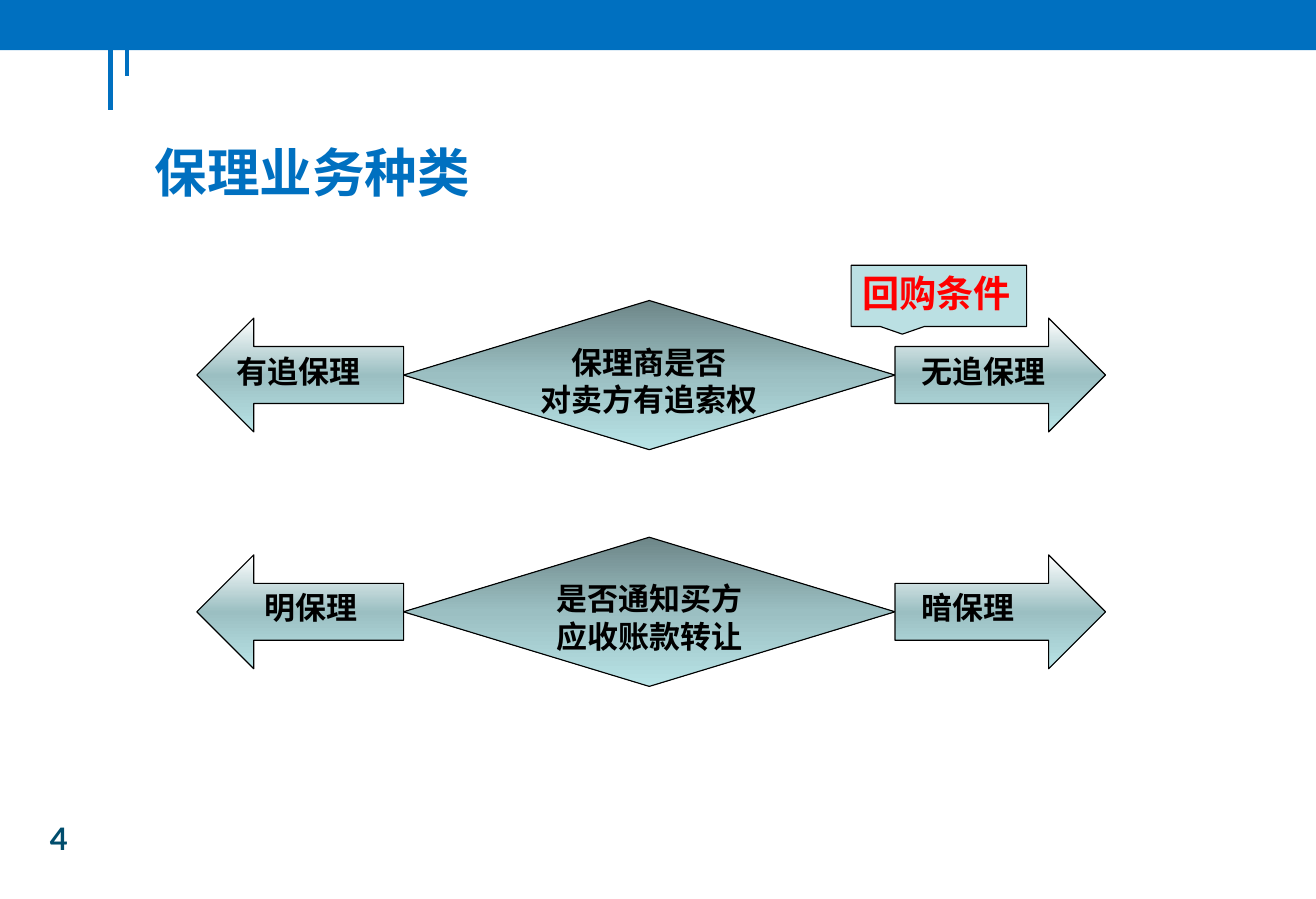
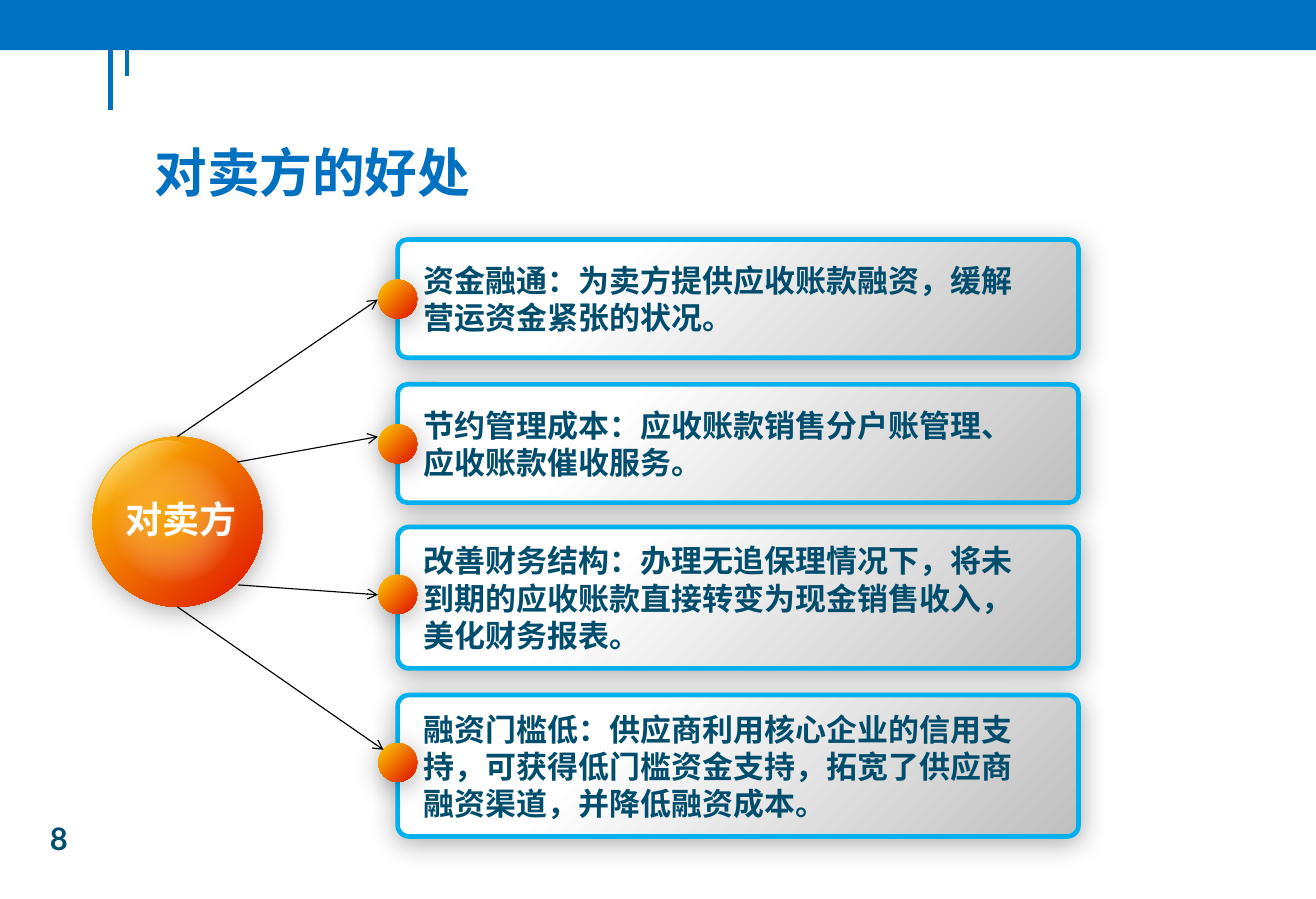
import pptx
import pptx.util
import pptx.dml.color
import pptx.enum.shapes
import pptx.enum.text
import pptx.oxml
import pptx.oxml.ns

Pt = pptx.util.Pt
qn = pptx.oxml.ns.qn
SHAPE = pptx.enum.shapes.MSO_SHAPE
ALIGN = pptx.enum.text.PP_ALIGN
ANCHOR = pptx.enum.text.MSO_ANCHOR

WIDTH, HEIGHT = 850.4, 581
LATIN, CJK = "Lato", "Noto Sans CJK SC"
BLUE, NAVY, CYAN = "0070C0", "004D6D", "00B0F0"
BLACK, WHITE, RED = "000000", "FFFFFF", "FF0000"
PALE_TEAL = "BBE0E3"
DIAMOND_STOPS = [(0, "6D8688", 100), (50, "9BBFC2", 100), (100, "B8E3E6", 100)]
ARROW_STOPS = [(0, WHITE, 100)] + DIAMOND_STOPS[1:]
ORANGE_STOPS = [(0, "FFCF01", 100), (90, "E22000", 100)]
CARD_STOPS = [(30, WHITE, 100), (100, "BFBFBF", 100)]
HIGHLIGHT_STOPS = [(0, WHITE, 100), (45, WHITE, 0)]
GLOW_STOPS = [(10, "FFC000", 60), (70, WHITE, 0)]


def rgb(value):
    return pptx.dml.color.RGBColor.from_string(value)


def add_xml(parent, tag, **attrs):
    child = parent.makeelement(qn(tag), {k: str(v) for k, v in attrs.items()})
    parent.append(child)
    return child


def add_color(parent, value, alpha):
    clr = add_xml(parent, "a:srgbClr", val=value)
    if alpha < 100:
        add_xml(clr, "a:alpha", val=alpha * 1000)


def set_gradient(sp, stops, angle):
    sp.fill.gradient()
    grad = sp.element.spPr.find(qn("a:gradFill"))
    for child in list(grad):
        grad.remove(child)
    stop_list = add_xml(grad, "a:gsLst")
    for pos, value, alpha in stops:
        add_color(add_xml(stop_list, "a:gs", pos=pos * 1000), value, alpha)
    if angle is None:
        center = add_xml(grad, "a:path", path="circle")
        add_xml(center, "a:fillToRect", l=50000, t=50000, r=50000, b=50000)
    else:
        add_xml(grad, "a:lin", ang=angle * 60000, scaled=0)


def set_shadow(sp):
    effects = sp.element.spPr.find(qn("a:effectLst"))
    shadow = add_xml(effects, "a:outerShdw", blurRad=int(Pt(17.8)),
                     dist=int(Pt(3)), dir=87 * 60000, algn="ctr", rotWithShape=0)
    add_color(shadow, BLACK, 33)


def add_shape(shapes, kind, x, y, w, h, fill, angle=None, line=None, line_w=0.75, shadow=False):
    sp = shapes.add_shape(kind, Pt(x), Pt(y), Pt(w), Pt(h))
    sp.shadow.inherit = False
    if isinstance(fill, str):
        sp.fill.solid()
        sp.fill.fore_color.rgb = rgb(fill)
    else:
        set_gradient(sp, fill, angle)
    if line:
        sp.line.color.rgb = rgb(line)
        sp.line.width = Pt(line_w)
    else:
        sp.line.fill.background()
    if shadow:
        set_shadow(sp)
    return sp


def set_text(sp, lines, size=20, color=BLACK, font=LATIN, align=ALIGN.LEFT,
             anchor=ANCHOR.TOP, indent=0, spacing=None):
    tf = sp.text_frame
    tf.word_wrap = True
    tf.vertical_anchor = anchor
    tf.margin_left = Pt(7.2 + indent)
    for i, text in enumerate(lines):
        p = tf.add_paragraph() if i else tf.paragraphs[0]
        p.alignment = align
        if spacing:
            p.line_spacing = spacing
        r = p.add_run()
        r.text = text
        r.font.size = Pt(size)
        r.font.bold = True
        r.font.name = font
        r.font.color.rgb = rgb(color)
        add_xml(r.font._element, "a:ea", typeface=font)


def add_text(shapes, x, y, w, h, text, **style):
    set_text(shapes.add_textbox(Pt(x), Pt(y), Pt(w), Pt(h)), [text], **style)


def add_line(shapes, x1, y1, x2, y2, color=BLACK, width=0.75, arrow=False):
    cxn = shapes.add_connector(pptx.enum.shapes.MSO_CONNECTOR.STRAIGHT,
                               Pt(x1), Pt(y1), Pt(x2), Pt(y2))
    cxn.line.color.rgb = rgb(color)
    cxn.line.width = Pt(width)
    if arrow:
        add_xml(cxn.line._get_or_add_ln(), "a:tailEnd", type="arrow")
    add_xml(cxn.element.spPr, "a:effectLst")


def add_base_slide(prs, title, number):
    s = prs.slides.add_slide(prs.slide_layouts[6])
    for x, bottom in [(71.3, 71.3), (82, 49)]:
        add_line(s.shapes, x, 3.6, x, bottom, BLUE, 3)
    add_shape(s.shapes, SHAPE.RECTANGLE, 0, 0, WIDTH, 32.4, BLUE)
    add_text(s.shapes, 92.9, 91.4, 703.4, 57.6, title, size=34, color=BLUE,
             font=CJK, spacing=0.9)
    add_text(s.shapes, 25.2, 526.3, 33.8, 31.7, number, color=NAVY)
    return s


def add_decision_row(s, center_y, question, left, left_indent, right):
    shapes = s.shapes.add_group_shape().shapes
    diamond = add_shape(shapes, SHAPE.FLOWCHART_DECISION, 260.8, center_y - 48.2,
                        317.6, 96.4, DIAMOND_STOPS, 90, BLACK)
    set_text(diamond, question, align=ALIGN.CENTER)
    for kind, x, w, text, indent in [
        (SHAPE.LEFT_ARROW, 127.2, 133.6, left, left_indent),
        (SHAPE.RIGHT_ARROW, 578.4, 136, right, 10),
    ]:
        arrow = add_shape(shapes, kind, x, center_y - 36.8, w, 73.6, ARROW_STOPS, 90, BLACK)
        set_text(arrow, [text], indent=indent)


def add_sphere(s, x, y, size, label):
    shapes = s.shapes.add_group_shape().shapes
    add_shape(shapes, SHAPE.OVAL, x, y, size, size, ORANGE_STOPS, 45, shadow=True)
    highlight = add_shape(shapes, SHAPE.OVAL, x, y + 7.2, 74.9, 53.3, HIGHLIGHT_STOPS, 90)
    highlight.rotation = 323.1
    add_shape(shapes, SHAPE.OVAL, x + 10.8, y + 12.2, 83.5, 83.5, GLOW_STOPS)
    add_text(shapes, x + 0.7, y + 35.3, 113, 36, label, size=24, color=WHITE,
             font=CJK, align=ALIGN.CENTER, anchor=ANCHOR.MIDDLE)


def add_card(s, y, h, dot_y, text):
    x, dot = 257, 25.2
    card = add_shape(s.shapes, SHAPE.ROUNDED_RECTANGLE, x, y, 440, h, CARD_STOPS, 45,
                     CYAN, 3, shadow=True)
    card.adjustments[0] = 0.08
    add_text(s.shapes, x + 9.4, y, 414, h, text, color=NAVY, anchor=ANCHOR.MIDDLE)
    add_shape(s.shapes, SHAPE.OVAL, x - dot / 2, dot_y - dot / 2, dot, dot,
              ORANGE_STOPS, 45, shadow=True)


def build_types_slide(prs):
    s = add_base_slide(prs, "保理业务种类", "4")
    add_decision_row(s, 242.4, ["保理商是否", "对卖方有追索权"], "有追保理", 0, "无追保理")
    add_decision_row(s, 395.4, ["是否通知买方", "应收账款转让"], "明保理", 18, "暗保理")
    callout = add_shape(s.shapes, SHAPE.RECTANGULAR_CALLOUT, 550, 171.4, 113.4, 39.6,
                        PALE_TEAL, line=BLACK)
    set_text(callout, ["回购条件"], size=24, color=RED)


def build_benefits_slide(prs):
    s = add_base_slide(prs, "对卖方的好处", "8")
    add_sphere(s, 59.8, 282.2, 110, "对卖方")
    for card in [
        (154.8, 76.4, 193.3, "资金融通：为卖方提供应收账款融资，缓解营运资金紧张的状况。"),
        (248.4, 76.4, 286.9, "节约管理成本：应收账款销售分户账管理、应收账款催收服务。"),
        (340.6, 91.4, 384.1, "改善财务结构：办理无追保理情况下，将未到期的应收账款直接转变为现金销售收入，美化财务报表。"),
        (449.2, 91.4, 492.8, "融资门槛低：供应商利用核心企业的信用支持，可获得低门槛资金支持，拓宽了供应商融资渠道，并降低融资成本。"),
    ]:
        add_card(s, *card)
    for ends in [
        (114.6, 282.2, 244.2, 193.6),
        (153.4, 298.6, 244.2, 282.2),
        (154, 378, 244.2, 384.4),
        (114.6, 392.2, 247.8, 484.6),
    ]:
        add_line(s.shapes, *ends, arrow=True)


def main():
    prs = pptx.Presentation()
    prs.slide_width, prs.slide_height = Pt(WIDTH), Pt(HEIGHT)
    build_types_slide(prs)
    build_benefits_slide(prs)
    prs.save("out.pptx")


if __name__ == "__main__":
    main()
